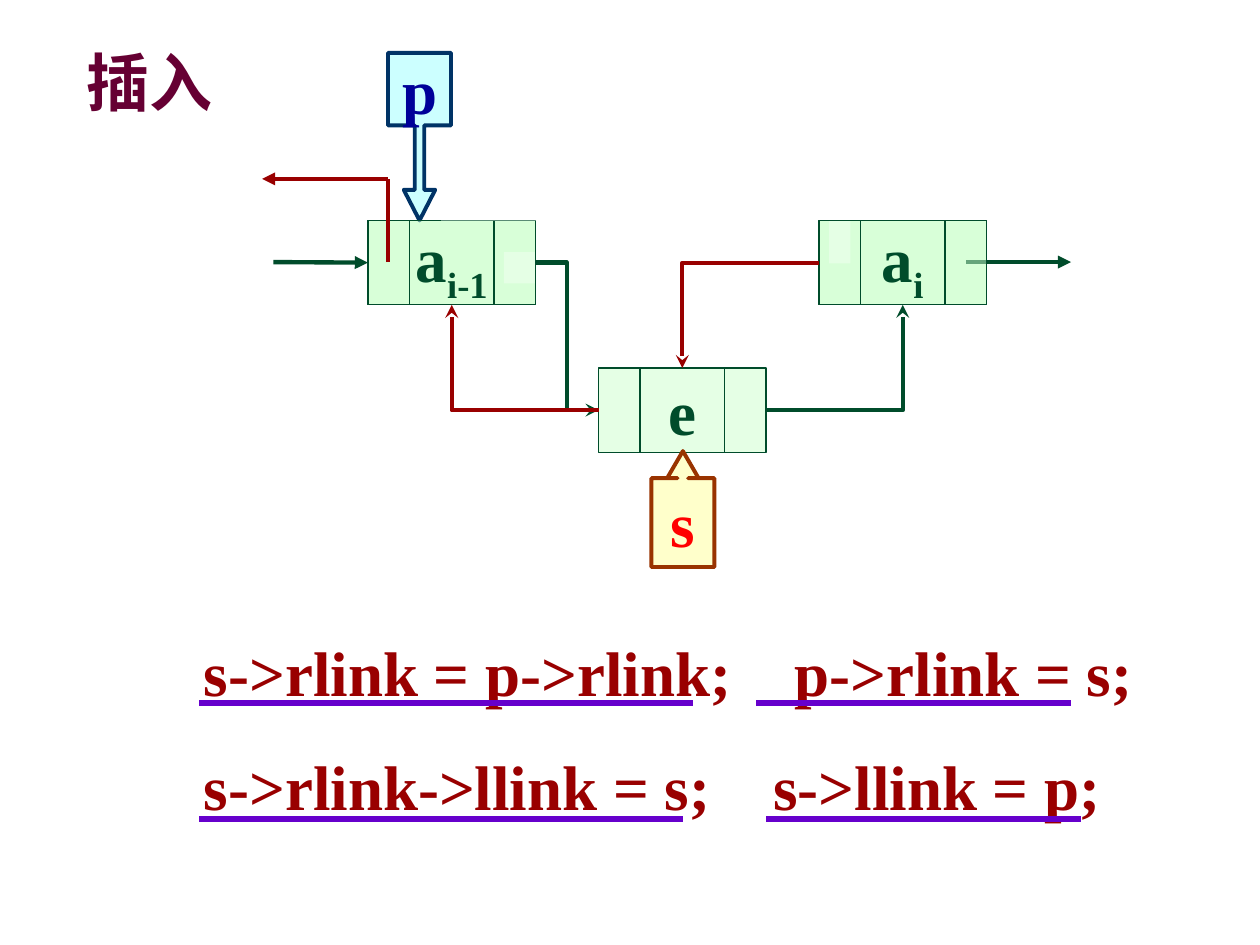
from lxml import etree
from pptx import Presentation
from pptx.dml.color import RGBColor
from pptx.enum.shapes import MSO_CONNECTOR, MSO_SHAPE
from pptx.enum.text import MSO_ANCHOR, MSO_AUTO_SIZE, PP_ALIGN
from pptx.oxml.ns import qn
from pptx.util import Inches, Pt

RECTANGLE = MSO_SHAPE.RECTANGLE
DOWN_CALLOUT = MSO_SHAPE.DOWN_ARROW_CALLOUT
UP_CALLOUT = MSO_SHAPE.UP_ARROW_CALLOUT
STRAIGHT, ELBOW = MSO_CONNECTOR.STRAIGHT, MSO_CONNECTOR.ELBOW
CENTER, MIDDLE = PP_ALIGN.CENTER, MSO_ANCHOR.MIDDLE
GROW = MSO_AUTO_SIZE.SHAPE_TO_FIT_TEXT

WHITE = RGBColor(0xFF, 0xFF, 0xFF)
GREEN = RGBColor(0x00, 0x4C, 0x2B)
PALE_GREEN = RGBColor(0xCC, 0xFF, 0xCC)
DARK_RED = RGBColor(0x99, 0x00, 0x00)
RED = RGBColor(0xFF, 0x00, 0x00)
NAVY = RGBColor(0x00, 0x33, 0x66)
BLUE = RGBColor(0x00, 0x00, 0x99)
PALE_BLUE = RGBColor(0xCC, 0xFF, 0xFF)
BROWN = RGBColor(0x99, 0x33, 0x00)
YELLOW = RGBColor(0xFF, 0xFF, 0x99)
PURPLE = RGBColor(0x66, 0x00, 0xCC)
PLUM = RGBColor(0x66, 0x00, 0x33)

FONT = "Times New Roman"
NODE_WIDTH, NODE_HEIGHT = 1.33, 0.67
TOP, LEFT, BOTTOM, RIGHT = range(4)
PREVIOUS_NODE, NEXT_NODE, NEW_NODE = (2.92, 1.75), (6.5, 1.75), (4.75, 2.92)


def format_run(run, color):
    run.font.name = FONT
    run.font.size = Pt(36)
    run.font.bold = True
    run.font.color.rgb = color


def add_box(slide, kind, box, fill, line=None, line_width=0.75, opacity=None):
    shape = slide.shapes.add_shape(kind, *map(Inches, box))
    shape.shadow.inherit = False
    shape.fill.solid()
    shape.fill.fore_color.rgb = fill
    if opacity:
        color = shape._element.spPr.find(qn("a:solidFill"))[0]
        etree.SubElement(color, qn("a:alpha")).set("val", str(opacity * 1000))
    if line is None:
        shape.line.fill.background()
    else:
        shape.line.color.rgb = line
        shape.line.width = Pt(line_width)
    return shape


def set_label(shape, text, color, subscript=""):
    frame = shape.text_frame
    frame.word_wrap = False
    frame.vertical_anchor = MIDDLE
    frame.text = text
    paragraph = frame.paragraphs[0]
    paragraph.alignment = CENTER
    if subscript:
        paragraph.add_run().text = subscript
    for run in paragraph.runs:
        format_run(run, color)
    if subscript:
        paragraph.runs[1].font._element.set("baseline", "-25000")


def add_line(slide, begin, end, color, width, head=None, kind=STRAIGHT):
    connector = slide.shapes.add_connector(kind, *map(Inches, begin + end))
    connector.line.color.rgb = color
    connector.line.width = Pt(width)
    properties = connector._element.spPr
    if head:
        line = properties.find(qn("a:ln"))
        etree.SubElement(line, qn("a:tailEnd")).set("type", head)
    etree.SubElement(properties, qn("a:effectLst"))
    return connector


def add_node_box(slide, corner):
    box = corner + (NODE_WIDTH, NODE_HEIGHT)
    return add_box(slide, RECTANGLE, box, PALE_GREEN, GREEN, opacity=50)


def add_node(slide, corner, text, subscript=""):
    """A list node: left link, data and right link."""
    node = add_node_box(slide, corner)
    set_label(node, text, GREEN, subscript)
    left, top = corner
    for offset in (0.33, 1):
        x = left + offset
        add_line(slide, (x, top), (x, top + NODE_HEIGHT), GREEN, 0.75)
    return node


def add_link(slide, source, source_side, target, target_side, color, corners=1):
    link = add_line(slide, (0, 0), (1, 1), color, 2.5, "stealth", ELBOW)
    link.begin_connect(source, source_side)
    link.end_connect(target, target_side)
    properties = link._element.spPr
    if corners == 1:
        properties.find(qn("a:prstGeom")).set("prst", "bentConnector2")
    # A link that runs leftwards is turned by half a circle
    if link.end_x < link.begin_x:
        flip = "1" if link.end_y > link.begin_y else "0"
        transform = properties.find(qn("a:xfrm"))
        transform.set("rot", "10800000")
        transform.set("flipH", "0")
        transform.set("flipV", flip)


def add_callout(slide, kind, box, adjustments, fill, line, text, color, opacity=None):
    callout = add_box(slide, kind, box, fill, line, 2.25, opacity)
    for index, value in enumerate(adjustments):
        callout.adjustments[index] = value
    set_label(callout, text, color)


def add_text(slide, box, lines, color, tab_stops=(), spacing=None):
    text_box = slide.shapes.add_textbox(*map(Inches, box))
    frame = text_box.text_frame
    frame.word_wrap = False
    frame.auto_size = GROW
    frame.text = "\n".join(lines)
    for paragraph in frame.paragraphs:
        if spacing:
            paragraph.line_spacing = spacing
        for run in paragraph.runs:
            format_run(run, color)
    for paragraph, position in zip(frame.paragraphs, tab_stops):
        properties = paragraph._p.get_or_add_pPr()
        tabs = etree.SubElement(properties, qn("a:tabLst"))
        tab = etree.SubElement(tabs, qn("a:tab"))
        tab.set("pos", str(Inches(position)))
        tab.set("algn", "l")


def main():
    presentation = Presentation()
    presentation.slide_width = Inches(10)
    presentation.slide_height = Inches(7.5)
    slide = presentation.slides.add_slide(presentation.slide_layouts[6])

    # Lower layer of the neighbouring nodes, with their outer links
    previous_box = add_node_box(slide, PREVIOUS_NODE)
    incoming = add_line(slide, (2.17, 2.08), (2.92, 2.08), GREEN, 2.5, "triangle")
    incoming.end_connect(previous_box, LEFT)
    add_node_box(slide, NEXT_NODE)
    add_line(slide, (7.67, 2.08), (8.5, 2.08), GREEN, 2.5, "triangle")

    # New node, code and pointers
    new = add_node(slide, NEW_NODE, "e")
    code = ["s->rlink = p->rlink;\tp->rlink = s;",
            "s->rlink->llink = s;\ts->llink = p;"]
    add_text(slide, (1.52, 4.68, 7.57, 1.9), code, DARK_RED, (4.69, 4.52), 1.5)
    add_callout(slide, DOWN_CALLOUT, (3.08, 0.42, 0.5, 1.33),
                (0.15, 0.25, 0.486, 0.433), PALE_BLUE, NAVY, "p", BLUE)
    add_callout(slide, UP_CALLOUT, (5.17, 3.58, 0.5, 0.92),
                (0.167, 0.25, 0.431, 1.121), YELLOW, BROWN, "s", RED, opacity=50)

    # Upper layer of the nodes over the white patches
    add_box(slide, RECTANGLE, (4, 2, 2.5, 0.25), WHITE)
    previous = add_node(slide, PREVIOUS_NODE, "a", "i-1")
    for patch in ((3.5, 1.17, 3.25, 0.58), (6.58, 1.67, 0.17, 0.42)):
        add_box(slide, RECTANGLE, patch, WHITE)
    following = add_node(slide, NEXT_NODE, "a", "i")

    # Links of the new node
    add_link(slide, new, RIGHT, following, BOTTOM, GREEN)
    add_link(slide, previous, RIGHT, new, LEFT, GREEN, corners=2)
    add_link(slide, following, LEFT, new, TOP, DARK_RED)
    add_link(slide, new, LEFT, previous, BOTTOM, DARK_RED)

    # Left link of the previous node
    add_line(slide, (3.08, 2.08), (3.08, 1.42), DARK_RED, 2.5)
    add_line(slide, (3.08, 1.42), (2.08, 1.42), DARK_RED, 2.5, "triangle")

    # Underlines of the statements
    for left, right, y in ((1.58, 5.5, 5.58), (6, 8.5, 5.58),
                           (1.58, 5.42, 6.5), (6.08, 8.58, 6.5)):
        add_line(slide, (left, y), (right, y), PURPLE, 3)

    # Title
    add_text(slide, (0.59, 0.3, 1.2, 0.7), ["插入"], PLUM)

    presentation.save("out.pptx")


if __name__ == "__main__":
    main()
